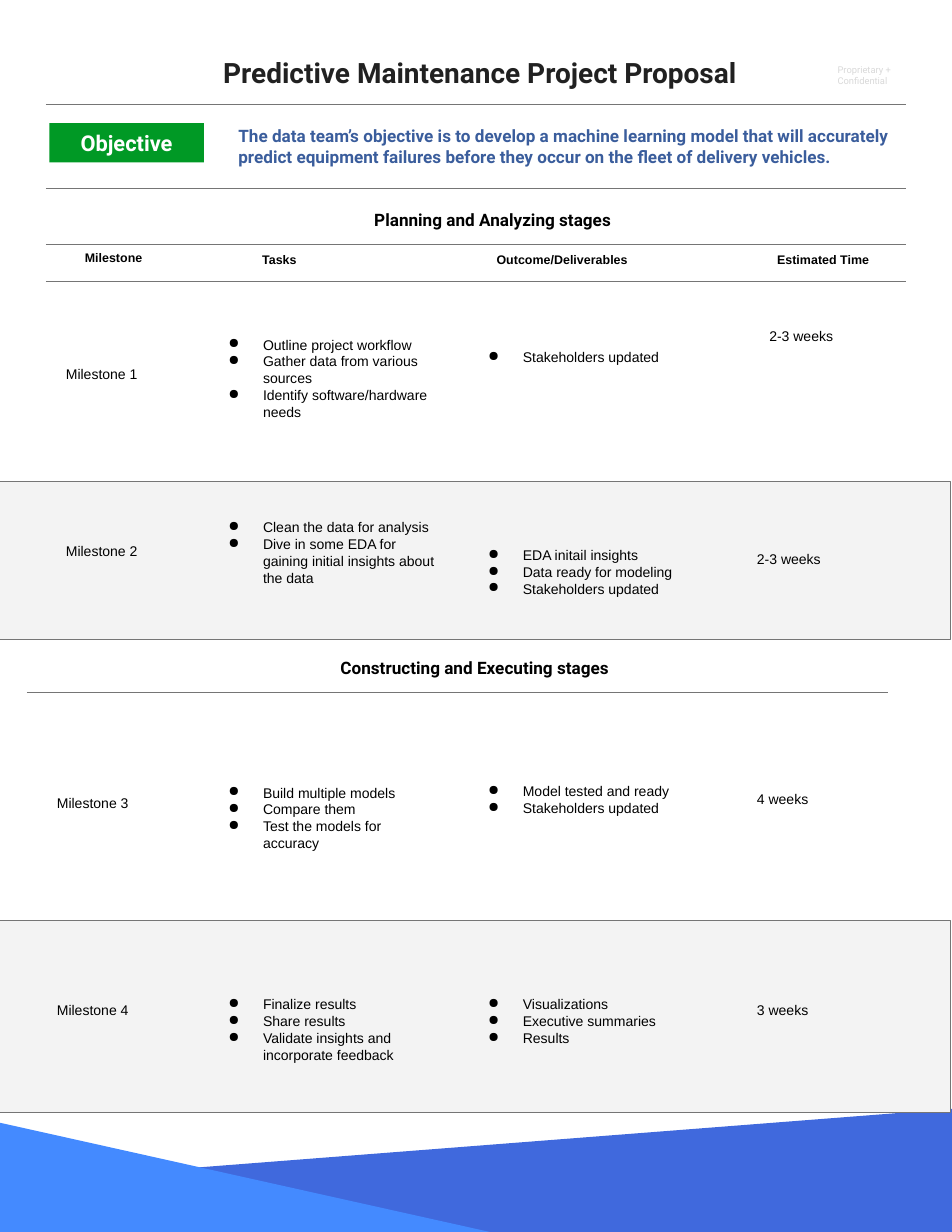
from dataclasses import dataclass

from lxml import etree
from pptx import Presentation
from pptx import util as u
from pptx.dml.color import RGBColor
from pptx.enum import shapes, text
from pptx.oxml.ns import qn


@dataclass(frozen=True)
class Theme:
    heading_font: str = "Roboto"
    body_font: str = "Arial"
    black: str = "000000"
    title_color: str = "212121"
    objective_color: str = "3A5D9C"
    white: str = "FFFFFF"
    green: str = "009925"
    rule: str = "757575"
    band: str = "F3F3F3"
    faint: str = "D9D9D9"
    dark_blue: str = "4069DD"
    light_blue: str = "448AFF"
    title_size: float = 18
    badge_size: float = 14
    heading_size: float = 11
    body_size: float = 9
    column_size: float = 8
    note_size: float = 6
    line_width: float = 0.75


class SlideBuilder:
    def __init__(self, slide, theme):
        self.slide = slide
        self.theme = theme

    def paint(self, shape, fill, line=None):
        shape.shadow.inherit = False
        shape.fill.solid()
        shape.fill.fore_color.rgb = RGBColor.from_string(fill)
        if line:
            shape.line.color.rgb = RGBColor.from_string(line)
            shape.line.width = u.Pt(self.theme.line_width)
        else:
            shape.line.fill.background()

    def fill_text(self, shape, words, size, color=None, font=None, bold=False,
                  centered=False, inset=0.1, spacing=None):
        frame = shape.text_frame
        frame.word_wrap = True
        frame.margin_left = frame.margin_right = u.Inches(inset)
        frame.margin_top = frame.margin_bottom = u.Inches(inset)
        frame.text = words
        for paragraph in frame.paragraphs:
            paragraph.alignment = text.PP_ALIGN.CENTER if centered else text.PP_ALIGN.LEFT
            if spacing:
                paragraph.line_spacing = spacing
            for run in paragraph.runs:
                run.font.name = font or self.theme.body_font
                run.font.size = u.Pt(size)
                run.font.bold = bold
                run.font.color.rgb = RGBColor.from_string(color or self.theme.black)

    def text_box(self, box, words, size, **style):
        shape = self.slide.shapes.add_textbox(*map(u.Inches, box))
        self.fill_text(shape, words, size, **style)
        return shape

    def heading(self, box, words, size=None, **style):
        self.text_box(box, words, size or self.theme.heading_size,
                      font=self.theme.heading_font, bold=True, **style)

    def rectangle(self, box, fill, line=None):
        shape = self.slide.shapes.add_shape(
            shapes.MSO_SHAPE.RECTANGLE, *map(u.Inches, box))
        self.paint(shape, fill, line)
        return shape

    def badge(self, box, words):
        shape = self.rectangle(box, self.theme.green)
        self.fill_text(shape, words, self.theme.badge_size, color=self.theme.white,
                       font=self.theme.heading_font, bold=True, centered=True, inset=0.07)
        shape.text_frame.vertical_anchor = text.MSO_ANCHOR.MIDDLE

    def polygon(self, points, fill):
        start, *rest = [(u.Inches(x), u.Inches(y)) for x, y in points]
        builder = self.slide.shapes.build_freeform(*start)
        builder.add_line_segments(rest, close=True)
        self.paint(builder.convert_to_shape(), fill)

    def rule(self, left, right, top):
        line = self.slide.shapes.add_connector(
            shapes.MSO_CONNECTOR.STRAIGHT, *map(u.Inches, (left, top, right, top)))
        line.line.color.rgb = RGBColor.from_string(self.theme.rule)
        line.line.width = u.Pt(self.theme.line_width)
        etree.SubElement(line._element.spPr, qn("a:effectLst"))

    def bullets(self, left, top, width, items):
        height = 0.2 + 0.15 * len(items)
        shape = self.text_box((left, top, width, height), "\n".join(items),
                              self.theme.body_size)
        for paragraph in shape.text_frame.paragraphs:
            properties = paragraph._p.get_or_add_pPr()
            properties.set("marL", str(u.Inches(0.5)))
            properties.set("indent", str(u.Inches(-0.31)))
            color = etree.SubElement(properties, qn("a:buClr"))
            etree.SubElement(color, qn("a:srgbClr"), val=self.theme.black)
            etree.SubElement(properties, qn("a:buChar"), char="●")


# Names and times hold text, left and top; tasks and outcomes hold top and items
MILESTONES = [
    dict(name=("Milestone 1", 0.49, 3.19), time=("2-3 weeks", 6.77, 2.85),
         tasks=(2.9, ["Outline project workflow", "Gather data from various sources",
                      "Identify software/hardware needs"]),
         outcomes=(3.04, ["Stakeholders updated"])),
    dict(name=("Milestone 2", 0.49, 4.77), time=("2-3 weeks", 6.66, 4.84),
         tasks=(4.53, ["Clean the data for analysis",
                       "Dive in some EDA for gaining initial insights about the data"]),
         outcomes=(4.78, ["EDA initail insights", "Data ready for modeling",
                          "Stakeholders updated"])),
    dict(name=("Milestone 3", 0.41, 7.02), time=("4 weeks", 6.66, 6.98),
         tasks=(6.9, ["Build multiple models", "Compare them",
                      "Test the models for accuracy"]),
         outcomes=(6.89, ["Model tested and ready", "Stakeholders updated"])),
    dict(name=("Milestone 4", 0.41, 8.87), time=("3 weeks", 6.66, 8.87),
         tasks=(8.79, ["Finalize results", "Share results",
                       "Validate insights and incorporate feedback"]),
         outcomes=(8.79, ["Visualizations", "Executive summaries", "Results"])),
]

COLUMN_HEADS = [
    ("Milestone", 0.55, 2.17, 0.93),
    ("Tasks", 2.03, 2.18, 0.93),
    ("Outcome/Deliverables", 4.33, 2.18, 1.38),
    ("Estimated Time", 6.66, 2.18, 1.38),
]


def main():
    presentation = Presentation()
    presentation.slide_width = u.Inches(8.5)
    presentation.slide_height = u.Inches(11)
    theme = Theme()
    page = SlideBuilder(presentation.slides.add_slide(presentation.slide_layouts[6]), theme)

    # Confidentiality note and footer shapes
    page.text_box((7.38, 0.47, 1.12, 0.65), "Proprietary + Confidential",
                  theme.note_size, color=theme.faint, font=theme.heading_font)
    page.polygon([(8.52, 11.07), (8.51, 9.9), (0.02, 10.56), (0.03, 11)], theme.dark_blue)
    page.polygon([(4.42, 11.01), (-0.02, 10.02), (-0.01, 11.04)], theme.light_blue)

    # Title and objective
    page.heading((1.21, 0.42, 6.15, 0.71), "Predictive Maintenance Project Proposal",
                 theme.title_size, color=theme.title_color, centered=True, spacing=0.95)
    page.badge((0.44, 1.1, 1.38, 0.35), "Objective")
    page.heading((2.03, 1.02, 6.06, 0.52),
                 "The data team’s objective is to develop a machine learning model that "
                 "will accurately predict equipment failures before they occur on the "
                 "fleet of delivery vehicles.", color=theme.objective_color)

    # Milestone bands
    for top, height in ((4.3, 1.41), (8.22, 1.71)):
        page.rectangle((-0.01, top, 8.5, height), theme.band, theme.rule)

    # Rules and stage headings
    for top in (0.93, 1.68, 2.18, 2.51):
        page.rule(0.41, 8.09, top)
    page.rule(0.24, 7.93, 6.18)
    page.heading((2.67, 1.78, 3.46, 0.41), "Planning and Analyzing stages", centered=True)
    page.heading((2.51, 5.78, 3.46, 0.41), "Constructing and Executing stages", centered=True)

    # Column heads
    for words, left, top, width in COLUMN_HEADS:
        page.text_box((left, top, width, 0.34), words, theme.column_size,
                      bold=True, centered=True)

    # Milestones
    for milestone in MILESTONES:
        for key, width in (("name", 1.04), ("time", 1.38)):
            words, left, top = milestone[key]
            page.text_box((left, top, width, 0.35), words, theme.body_size)
        for key, left, width in (("tasks", 1.75, 2.25), ("outcomes", 4.07, 2.14)):
            top, items = milestone[key]
            page.bullets(left, top, width, items)

    presentation.save("out.pptx")


if __name__ == "__main__":
    main()
